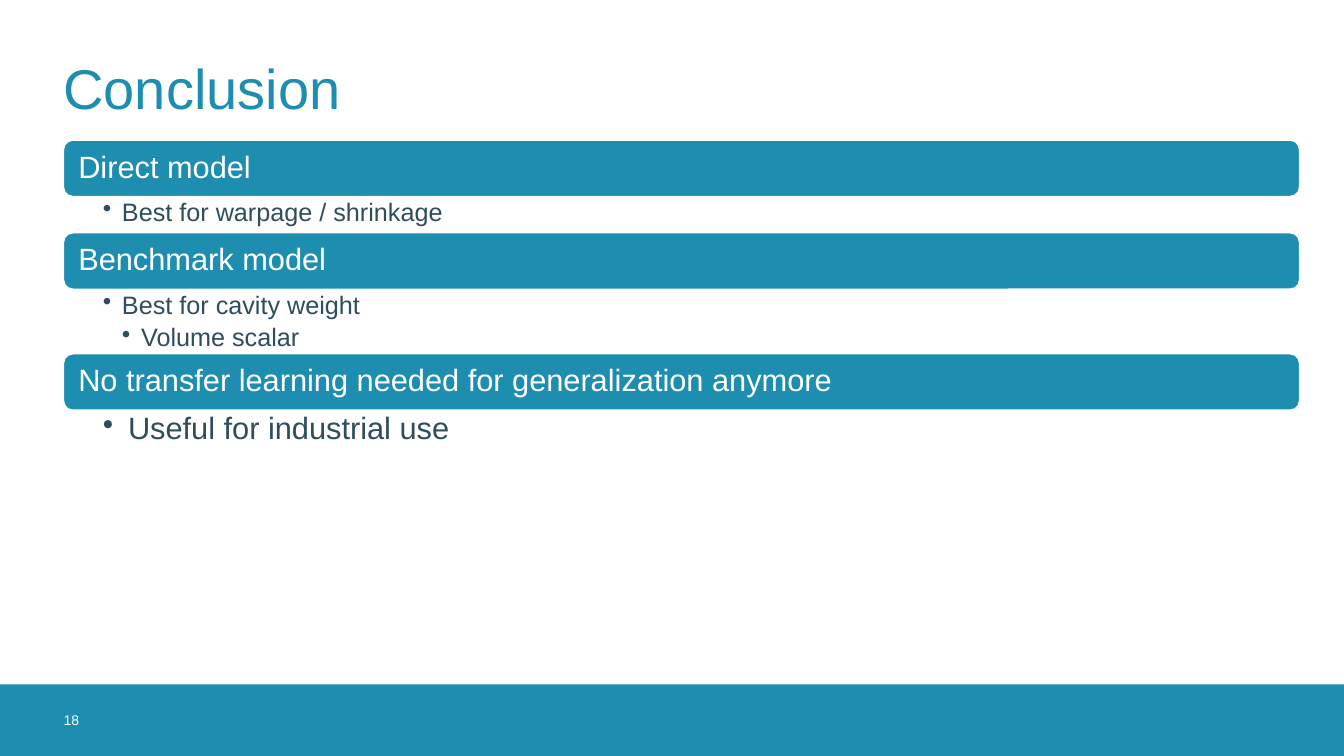
from pptx import Presentation
from pptx.dml.color import RGBColor
from pptx.enum.shapes import MSO_SHAPE
from pptx.enum.text import MSO_ANCHOR
from pptx.oxml import parse_xml
from pptx.oxml.ns import nsdecls
from pptx.util import Inches, Pt

# Content: heading, details height, text size, bullet indent, (level, text) lines
TITLE = "Conclusion"
PAGE_NUMBER = "18"
SECTIONS = [
    ("Direct model", 0.36, 18, 0.19, [(1, "Best for warpage / shrinkage")]),
    ("Benchmark model", 0.64, 18, 0.19,
     [(1, "Best for cavity weight"), (2, "Volume scalar")]),
    ("No transfer learning needed for generalization anymore", 0.38, 22, 0.25,
     [(1, "Useful for industrial use")]),
]

# Style
FONT = "Arial"
TEAL, WHITE, SLATE = "1D8DB0", "FFFFFF", "2F4D5D"
PAGE_WIDTH, PAGE_HEIGHT = 13.33, 7.5
LEFT, LIST_TOP, LIST_WIDTH, BAR_HEIGHT = 0.63, 1.39, 12.26, 0.56
FOOTER_HEIGHT = 0.71
FOOTER_TOP = PAGE_HEIGHT - FOOTER_HEIGHT


def color(hex_text):
    return RGBColor.from_string(hex_text)


def set_frame(shape, insets, anchor):
    frame = shape.text_frame
    frame.word_wrap = True
    frame.vertical_anchor = anchor
    (frame.margin_left, frame.margin_top,
     frame.margin_right, frame.margin_bottom) = map(Inches, insets)
    return frame


def style(para, size, hex_text):
    para.font.name = FONT
    para.font.size = Pt(size)
    para.font.color.rgb = color(hex_text)


def add_shape(page, kind, area, line=None):
    shape = page.shapes.add_shape(kind, *map(Inches, area))
    shape.shadow.inherit = False
    shape.fill.solid()
    shape.fill.fore_color.rgb = color(TEAL)
    if line:
        shape.line.color.rgb = color(line)
        shape.line.width = Pt(1)
    else:
        shape.line.fill.background()
    return shape


def add_label(page, area, text, size, hex_text):
    box = page.shapes.add_textbox(*map(Inches, area))
    frame = set_frame(box, (0, 0, 0, 0), MSO_ANCHOR.MIDDLE)
    frame.text = text
    style(frame.paragraphs[0], size, hex_text)


def add_heading(page, top, text):
    bar = add_shape(page, MSO_SHAPE.ROUNDED_RECTANGLE,
                    (LEFT, top, LIST_WIDTH, BAR_HEIGHT), WHITE)
    frame = set_frame(bar, (0.12, 0.09, 0.12, 0.09), MSO_ANCHOR.MIDDLE)
    frame.text = text
    para = frame.paragraphs[0]
    para.alignment = 1
    para.line_spacing = 0.9
    style(para, 22, WHITE)


def add_details(page, top, height, size, indent, lines):
    box = page.shapes.add_textbox(*map(Inches, (LEFT, top, LIST_WIDTH, height)))
    frame = set_frame(box, (0.39, 0.03, 0.14, 0.03), MSO_ANCHOR.TOP)
    frame.text = "\n".join(text for level, text in lines)
    for para, (level, text) in zip(frame.paragraphs, lines):
        para.level = level
        para.line_spacing = 0.9
        para.space_after = Pt(4)
        properties = para._p.get_or_add_pPr()
        properties.set("marL", str(Inches(indent * level)))
        properties.set("indent", str(-Inches(indent)))
        properties.append(parse_xml(f'<a:buChar {nsdecls("a")} char="•"/>'))
        style(para, size, SLATE)


def main():
    deck = Presentation()
    deck.slide_width, deck.slide_height = Inches(PAGE_WIDTH), Inches(PAGE_HEIGHT)
    page = deck.slides.add_slide(deck.slide_layouts[6])

    # Footer band and title
    add_shape(page, MSO_SHAPE.RECTANGLE,
              (0, FOOTER_TOP, PAGE_WIDTH, FOOTER_HEIGHT))
    add_label(page, (LEFT, FOOTER_TOP, 0.71, FOOTER_HEIGHT), PAGE_NUMBER, 10, WHITE)
    add_label(page, (LEFT, 0.23, 12.07, 1.26), TITLE, 40, TEAL)

    # Headings and details, stacked without gaps
    top = LIST_TOP
    for heading, height, size, indent, lines in SECTIONS:
        add_heading(page, top, heading)
        add_details(page, top + BAR_HEIGHT, height, size, indent, lines)
        top += BAR_HEIGHT + height

    deck.save("out.pptx")


if __name__ == "__main__":
    main()
